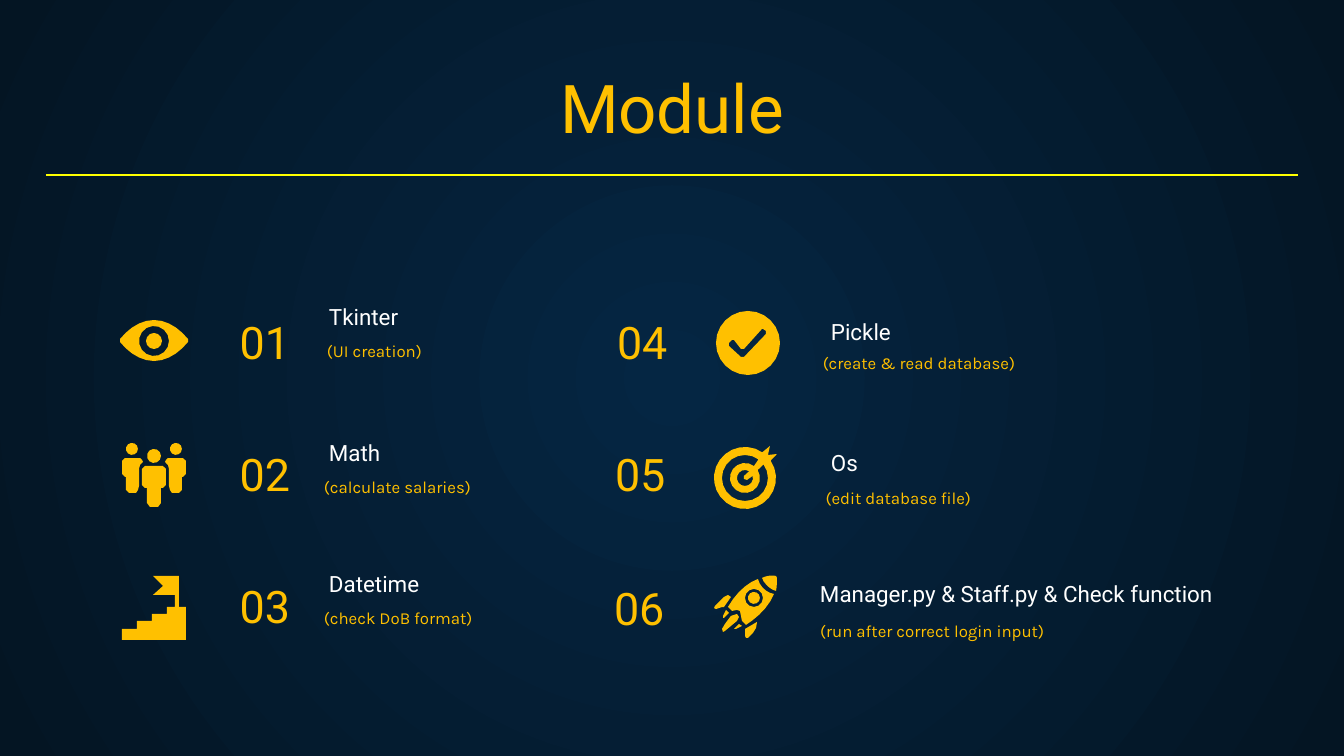
from dataclasses import dataclass
from math import cos, radians, sin

from lxml import etree
from pptx import Presentation
from pptx.dml.color import RGBColor
from pptx.enum.shapes import MSO_CONNECTOR
from pptx.enum.text import MSO_ANCHOR, PP_ALIGN
from pptx.oxml.ns import qn
from pptx.util import Pt

LEFT, CENTER, RIGHT = PP_ALIGN.LEFT, PP_ALIGN.CENTER, PP_ALIGN.RIGHT
TOP, BOTTOM = MSO_ANCHOR.TOP, MSO_ANCHOR.BOTTOM
STRAIGHT = MSO_CONNECTOR.STRAIGHT
EMU_PER_PX = 914400 / 134.4


@dataclass(frozen=True)
class Theme:
    center: RGBColor = RGBColor(0x05, 0x26, 0x43)
    edge: RGBColor = RGBColor(0x04, 0x15, 0x23)
    accent: RGBColor = RGBColor(0xFF, 0xC0, 0x00)
    light: RGBColor = RGBColor(0xFF, 0xFF, 0xFF)
    rule: RGBColor = RGBColor(0xFF, 0xFF, 0x00)
    heading_font: str = "Roboto"
    body_font: str = "Karla"
    title: int = 36
    number: int = 24
    name: int = 12
    note: int = 9


THEME = Theme()


def px(n):
    return round(n * EMU_PER_PX)


def arc(cx, cy, r, start=0, end=360):
    steps = 8 + r // 2
    angles = [radians(start + (end - start) * i / steps) for i in range(steps + 1)]
    return [(cx + r * cos(a), cy + r * sin(a)) for a in angles]


def curve(a, b, c, d, steps=5):
    """Points along the cubic Bézier curve from a to d."""
    ts = [i / steps for i in range(steps + 1)]
    return [tuple((1 - t) ** 3 * a[k] + 3 * t * (1 - t) ** 2 * b[k]
                  + 3 * t * t * (1 - t) * c[k] + t ** 3 * d[k] for k in (0, 1))
            for t in ts]


def mirror(points, width=64):
    return [(width - x, y) for x, y in reversed(points)]


SIDE_BODY = [(3, 15), (0, 18), (0, 31), (3, 34), (4, 34), (4, 47), (7, 50), (14, 50),
             (16, 47), (17, 43), (17, 26), (18, 22), (21, 19), (20, 17), (18, 15)]
HALF_BODY = [(23, 23), (20, 26), (20, 42), (23, 45), (25, 45), (25, 60), (28, 64)]

# Each icon is a list of parts, each part a list of contours; inner contours cut holes.
EYE = [[
    curve((1, 19), (10, 8), (22, 0), (35, 0)) + curve((35, 0), (48, 0), (60, 8), (69, 19))
    + curve((69, 22), (60, 33), (48, 41), (35, 41))
    + curve((35, 41), (22, 41), (10, 33), (1, 22)),
    arc(35, 21, 15), arc(35, 21, 8),
]]
PEOPLE = [
    [arc(10, 6, 6)], [SIDE_BODY], [arc(54, 6, 6)], [mirror(SIDE_BODY)],
    [HALF_BODY + mirror(HALF_BODY)], [arc(32, 13, 7)],
]
STAIRS = [[[
    (31, 0), (41, 10), (31, 19), (53, 19), (53, 31), (45, 31), (45, 38), (30, 38),
    (30, 45), (15, 45), (15, 53), (0, 53), (0, 64), (64, 64), (64, 31), (57, 31), (57, 0),
]]]
CHECK = [[
    arc(32, 32, 32),
    [(47, 18), (50, 20), (50, 23), (28, 46), (25, 46), (13, 35), (13, 32), (16, 29),
     (18, 29), (25, 38), (28, 38), (46, 18)],
]]
TARGET = [[
    arc(31, 32, 31, -34, 304) + [(56, 0), (54, 9), (63, 8)],
    arc(31, 32, 15, -53, -392) + arc(31, 32, 23, -36, 306),
    arc(31, 32, 8, -15, 302) + [(30, 30), (30, 33), (33, 34)],
]]
ROCKET = [
    [[(12, 35), (9, 41), (9, 43), (10, 43), (14, 39), (15, 38)]],
    [[(25, 49), (20, 54), (22, 54), (28, 51)]],
    [[(23, 39), (17, 41), (11, 49), (8, 54), (9, 57), (11, 56), (23, 46), (25, 42)]],
    [[(14, 20), (10, 22), (6, 26), (1, 31), (0, 33), (2, 34), (8, 32), (10, 32), (17, 22)]],
    [[(43, 47), (31, 54), (31, 61), (32, 63), (34, 63), (39, 58), (42, 53)]],
    [arc(40, 23, 6)],
    [curve((48, 3), (52, 1), (57, 0), (62, 1)) + curve((63, 3), (63, 7), (63, 12), (62, 16))
     + curve((62, 16), (57, 15), (50, 9), (48, 3))],
    [curve((44, 4), (33, 8), (22, 18), (14, 32)) + [(18, 36), (23, 35), (26, 36), (28, 46)]
     + curve((32, 50), (43, 43), (55, 32), (60, 19))
     + curve((60, 19), (53, 18), (46, 12), (44, 4)),
     arc(40, 23, 9)],
]


@dataclass(frozen=True)
class Module:
    """Boxes are left, top, width, height from the corner of the module's cell."""
    number: str
    name: str
    note: str
    icon: list
    icon_at: tuple
    number_box: tuple
    name_box: tuple
    note_box: tuple


LEFT_MODULES = [
    Module("01", "Tkinter", "(UI creation)", EYE, (0, 27),
           (11, 0, 173, 89), (197, 22, 305, 28), (179, 32, 294, 74)),
    Module("02", "Math", "(calculate salaries)", PEOPLE, (3, 18),
           (11, 0, 173, 89), (197, 26, 305, 28), (176, 36, 298, 74)),
    Module("03", "Datetime", "(check DoB format)", STAIRS, (3, 19),
           (11, 0, 173, 89), (197, 25, 305, 28), (176, 35, 298, 74)),
]
RIGHT_MODULES = [
    Module("04", "Pickle", "(create & read database)", CHECK, (115, 18),
           (3, 0, 173, 89), (217, 37, 305, 28), (131, 43, 296, 74)),
    Module("05", "Os", "(edit database file)", TARGET, (113, 21),
           (1, 0, 173, 89), (217, 36, 305, 28), (87, 47, 296, 74)),
    Module("06", "Manager.py & Staff.py & Check function", "(run after correct login input)",
           ROCKET, (113, 18), (0, 2, 173, 89), (206, -15, 473, 78), (160, 47, 296, 74)),
]


def add_text(slide, box, text, font, size, color, align=LEFT, anchor=BOTTOM):
    tf = slide.shapes.add_textbox(*map(px, box)).text_frame
    tf.word_wrap = True
    tf.vertical_anchor = anchor
    tf.margin_left = tf.margin_right = tf.margin_top = tf.margin_bottom = px(13)
    p = tf.paragraphs[0]
    p.text = text
    p.alignment = align
    p.font.name, p.font.size, p.font.color.rgb = font, Pt(size), color
    return p


def add_part(shapes, left, top, contours):
    fb = None
    for contour in contours:
        start, *rest = [(px(left + x), px(top + y)) for x, y in contour]
        if fb is None:
            fb = shapes.build_freeform(*start, scale=1.0)
        else:
            fb.move_to(*start)
        fb.add_line_segments(rest, close=True)
    sp = fb.convert_to_shape()
    sp.shadow.inherit = False
    sp.fill.solid()
    sp.fill.fore_color.rgb = THEME.accent
    sp.line.fill.background()


def add_icon(slide, left, top, parts):
    shapes = slide.shapes
    if len(parts) > 1:
        shapes = shapes.add_group_shape().shapes
    for contours in parts:
        add_part(shapes, left, top, contours)


def paint_background(slide):
    fill = slide.background.fill
    fill.gradient()
    for stop, position, color in zip(fill.gradient_stops, (0, 1), (THEME.center, THEME.edge)):
        stop.position, stop.color.rgb = position, color
    grad = slide.element.find(".//" + qn("a:gradFill"))
    grad.remove(grad.find(qn("a:lin")))
    radial = etree.SubElement(grad, qn("a:path"), path="circle")
    etree.SubElement(radial, qn("a:fillToRect"), l="50000", t="50000", r="50000", b="50000")


def add_header(slide, left, top, width, height):
    add_text(slide, (left, top, width, height), "Module",
             THEME.heading_font, THEME.title, THEME.accent, CENTER)
    y = px(top + height + 15)
    rule = slide.shapes.add_connector(STRAIGHT, px(left), y, px(left + width), y)
    rule.line.color.rgb = THEME.rule
    rule.line.width = Pt(0.75)
    etree.SubElement(rule._element.spPr, qn("a:effectLst"))


def add_module(slide, left, top, module, number_align, note_align):
    def place(box):
        x, y, w, h = box
        return left + x, top + y, w, h

    add_text(slide, place(module.number_box), module.number,
             THEME.heading_font, THEME.number, THEME.accent, number_align)
    add_text(slide, place(module.name_box), module.name,
             THEME.heading_font, THEME.name, THEME.light)
    p = add_text(slide, place(module.note_box), module.note,
                 THEME.body_font, THEME.note, THEME.accent, note_align, TOP)
    p.line_spacing = 1.2
    pPr = p._p.get_or_add_pPr()
    pPr.set("marL", str(px(67)))
    pPr.set("indent", str(px(-51)))
    x, y = module.icon_at
    add_icon(slide, left + x, top + y, module.icon)


def add_column(slide, left, top, pitch, modules, number_align, note_align):
    for row, module in enumerate(modules):
        add_module(slide, left, top + row * pitch, module, number_align, note_align)


def main():
    prs = Presentation()
    prs.slide_width, prs.slide_height = px(1344), px(756)
    slide = prs.slides.add_slide(prs.slide_layouts[6])
    paint_background(slide)
    add_header(slide, 46, 71, 1252, 89)
    add_column(slide, 119, 293, 132, LEFT_MODULES, RIGHT, LEFT)
    add_column(slide, 601, 293, 132, RIGHT_MODULES, LEFT, RIGHT)
    prs.save("out.pptx")


if __name__ == "__main__":
    main()
